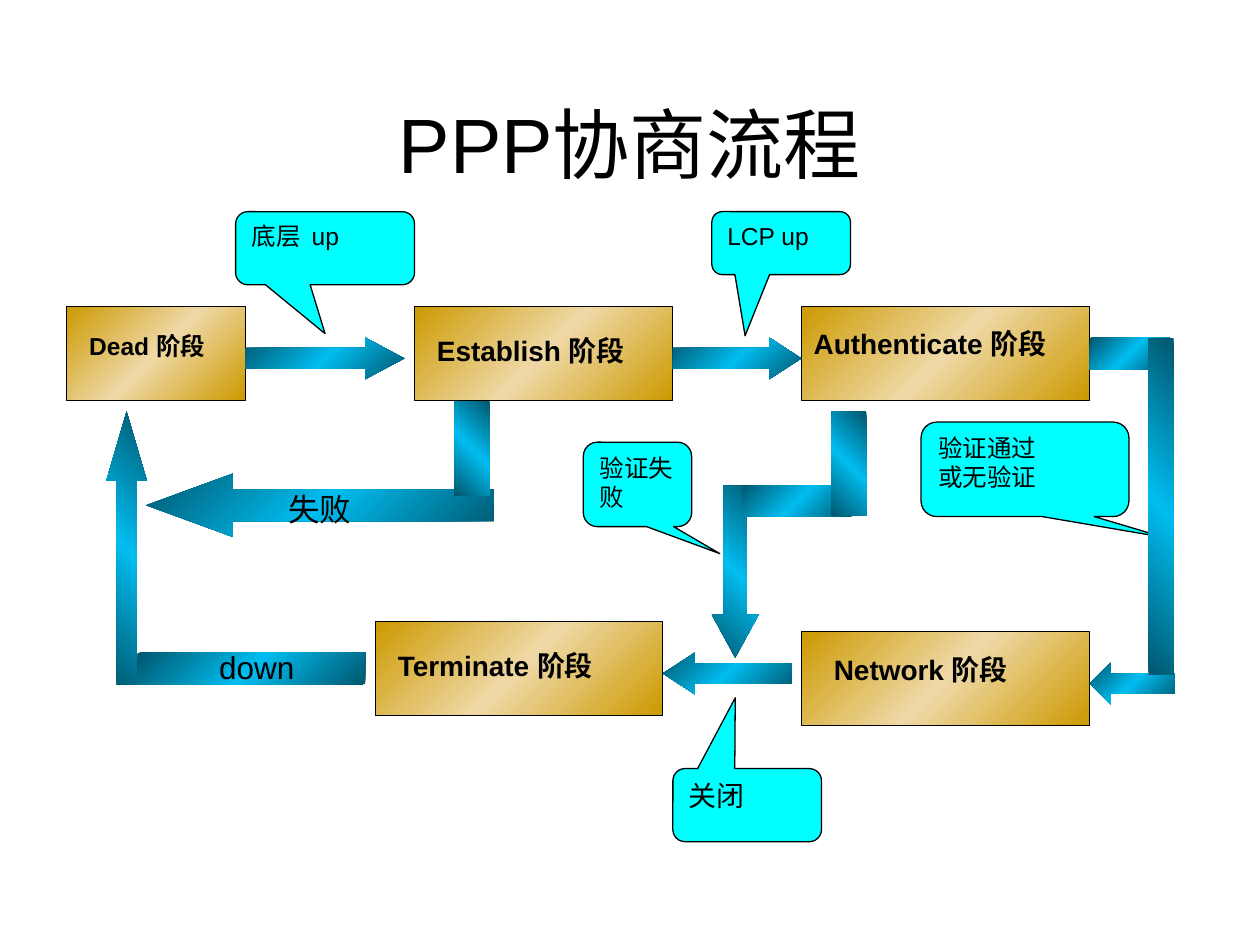
from copy import deepcopy
from dataclasses import dataclass

from pptx import Presentation
from pptx.dml.color import RGBColor
from pptx.enum import shapes, text
from pptx.oxml.ns import qn
from pptx.util import Inches, Pt

FONT = "Arial"
BLACK, CYAN = "000000", "00FFFF"
GOLD = ("CC9900", "EFD9A7", "CC9900")
BLUE = ("00576E", "00BDF0", "00576E")
Box = tuple[float, float, float, float]  # left, top, width, height in inches


@dataclass
class Label:
    text: str
    box: Box
    size: float
    bold: bool = False


@dataclass
class Stage:
    box: Box
    label: Label


@dataclass
class Callout:
    text: str
    box: Box
    tip: tuple[float, float]
    size: float = 14


@dataclass
class Arrow:
    """Frame before rotation; head is the head length relative to the height."""
    box: Box
    rotation: float = 0
    head: float = 0
    shaft: float = 0.5


def bar(box: Box, rotation: float) -> Arrow:
    """An arrow without a head, used as a plain segment of a bent path."""
    return Arrow(box, rotation, head=0, shaft=1)


STAGES = [
    Stage((0.53, 2.43, 1.42, 0.75),
          Label("Dead 阶段", (0.61, 2.58, 1.81, 0.34), 14, True)),
    Stage((3.29, 2.43, 2.05, 0.75),
          Label("Establish 阶段", (3.37, 2.6, 2.76, 0.37), 16, True)),
    Stage((6.36, 2.43, 2.29, 0.75),
          Label("Authenticate 阶段", (6.36, 2.54, 2.76, 0.37), 16, True)),
    Stage((6.36, 5.01, 2.29, 0.75),
          Label("Network 阶段", (6.52, 5.13, 2.76, 0.37), 16, True)),
    Stage((2.98, 4.93, 2.28, 0.75),
          Label("Terminate 阶段", (3.06, 5.1, 2.76, 0.37), 16, True)),
]

CALLOUTS = [
    Callout("底层  up", (1.87, 1.68, 1.42, 0.58), (0, 1.17)),
    Callout("LCP up", (5.65, 1.68, 1.1, 0.5), (-0.26, 1.47)),
    Callout("验证失败", (4.63, 3.51, 0.86, 0.67), (0.76, 0.82)),
    Callout("验证通过\n或无验证", (7.31, 3.35, 1.65, 0.75), (0.67, 0.72)),
    Callout("关闭", (5.34, 6.1, 1.18, 0.58), (-0.08, -1.47), 16),
]

ARROWS = [
    Arrow((1.16, 3.76, 2.76, 0.5), 180, 1.37),
    Arrow((5.15, 4.35, 1.37, 0.37), 90, 0.92),
    Arrow((1.95, 2.68, 1.26, 0.33), 0, 0.94),
    Arrow((5.34, 2.68, 1.02, 0.33), 0, 0.77),
    Arrow((5.26, 5.18, 1.02, 0.33), 180, 0.77),
    bar((8.65, 2.68, 0.63, 0.25), 180),
    Arrow((8.65, 5.26, 0.67, 0.33), 180, 0.5),
    bar((7.88, 3.92, 2.67, 0.2), 90),
    bar((5.89, 3.85, 0.87, 0.25), 180),
    bar((6.32, 3.54, 0.83, 0.28), 90),
    Arrow((-0.08, 4.19, 2.17, 0.32), 270, 1.71),
    bar((3.37, 3.42, 0.75, 0.28), 90),
    bar((1.09, 5.18, 1.81, 0.25), 180),
]

PATH_LABELS = [
    Label("失败", (2.19, 3.84, 1.5, 0.4), 18),
    Label("down", (1.64, 5.09, 1.5, 0.4), 18),
]


def rgb(value: str) -> RGBColor:
    return RGBColor.from_string(value)


def set_font(p, size: float, bold: bool = False) -> None:
    p.font.name = FONT
    p.font.size = Pt(size)
    p.font.bold = bold
    p.font.color.rgb = rgb(BLACK)


def fill_gradient(sp, colors: tuple[str, str, str]) -> None:
    """Fill diagonally with three evenly spaced stops."""
    sp.fill.gradient()
    sp.fill.gradient_angle = 135
    stops = sp._element.spPr.find(qn("a:gradFill")).find(qn("a:gsLst"))
    stops.append(deepcopy(stops[-1]))
    for i, (stop, color) in enumerate(zip(sp.fill.gradient_stops, colors)):
        stop.position = i / 2
        stop.color.rgb = rgb(color)


def add_shape(s, kind, box: Box, outlined: bool):
    sp = s.shapes.add_shape(kind, *map(Inches, box))
    sp.shadow.inherit = False
    if outlined:
        sp.line.color.rgb = rgb(BLACK)
        sp.line.width = Pt(0.75)
    else:
        sp.line.fill.background()
    return sp


def add_label(s, label: Label) -> None:
    tf = s.shapes.add_textbox(*map(Inches, label.box)).text_frame
    tf.word_wrap = True
    tf.auto_size = text.MSO_AUTO_SIZE.SHAPE_TO_FIT_TEXT
    tf.text = label.text
    p = tf.paragraphs[0]
    p.space_before = Pt(round(label.size * 0.625, 1))
    set_font(p, label.size, label.bold)


def add_stage(s, stage: Stage) -> None:
    sp = add_shape(s, shapes.MSO_SHAPE.RECTANGLE, stage.box, outlined=True)
    fill_gradient(sp, GOLD)
    add_label(s, stage.label)


def add_callout(s, callout: Callout) -> None:
    sp = add_shape(s, shapes.MSO_SHAPE.ROUNDED_RECTANGULAR_CALLOUT,
                   callout.box, outlined=True)
    sp.adjustments[0], sp.adjustments[1] = callout.tip
    sp.fill.solid()
    sp.fill.fore_color.rgb = rgb(CYAN)
    tf = sp.text_frame
    tf.word_wrap = True
    tf.vertical_anchor = text.MSO_ANCHOR.TOP
    tf.text = callout.text
    for p in tf.paragraphs:
        p.alignment = text.PP_ALIGN.LEFT
        set_font(p, callout.size)


def add_arrow(s, arrow: Arrow) -> None:
    sp = add_shape(s, shapes.MSO_SHAPE.RIGHT_ARROW, arrow.box, outlined=False)
    sp.rotation = arrow.rotation
    sp.adjustments[0], sp.adjustments[1] = arrow.shaft, arrow.head
    fill_gradient(sp, BLUE)


def add_title(s, title: str) -> None:
    sp = s.shapes.title
    sp.left, sp.top, sp.width, sp.height = map(Inches, (0.5, 0.3, 9, 1.25))
    tf = sp.text_frame
    tf.vertical_anchor = text.MSO_ANCHOR.BOTTOM
    tf.text = title
    p = tf.paragraphs[0]
    p.alignment = text.PP_ALIGN.CENTER
    set_font(p, 44)


def main() -> None:
    prs = Presentation()
    prs.slide_width, prs.slide_height = Inches(10), Inches(7.5)
    s = prs.slides.add_slide(prs.slide_layouts[5])
    add_title(s, "PPP协商流程")
    for stage in STAGES:
        add_stage(s, stage)
    for callout in CALLOUTS:
        add_callout(s, callout)
    for arrow in ARROWS:
        add_arrow(s, arrow)
    for label in PATH_LABELS:
        add_label(s, label)
    prs.save("out.pptx")


if __name__ == "__main__":
    main()
